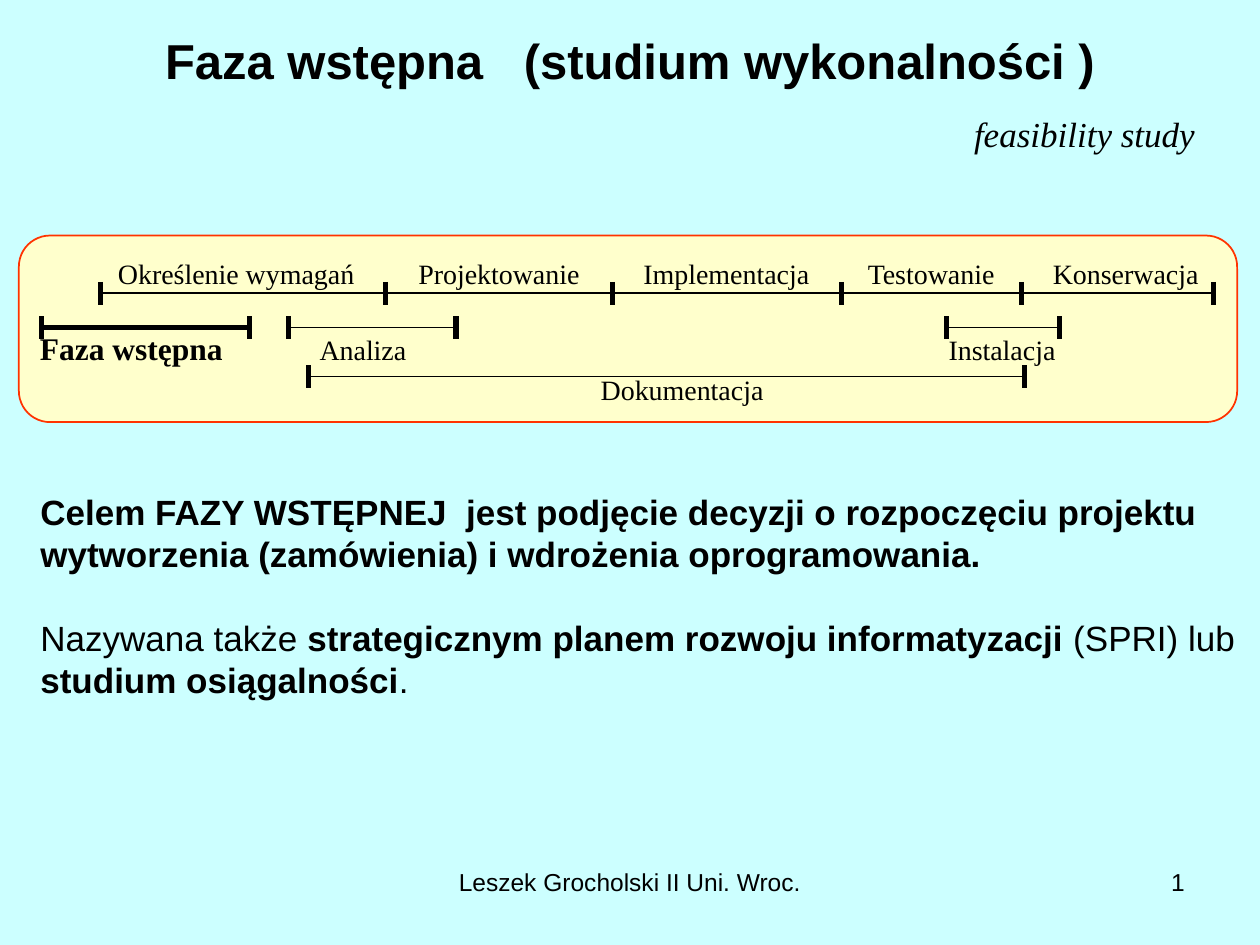
from itertools import chain
from pptx import Presentation
from pptx.dml.color import RGBColor
from pptx.enum.shapes import MSO_CONNECTOR as Conn, MSO_SHAPE as Form
from pptx.enum.text import MSO_ANCHOR as Anchor, MSO_AUTO_SIZE as Auto, PP_ALIGN as Align
from pptx.oxml import parse_xml
from pptx.oxml.ns import nsdecls, qn
from pptx.util import Pt

SANS = {"name": "Arial", "size": Pt(20)}
SERIF = {"name": "Times New Roman", "size": Pt(16)}
FOOT = SANS | {"size": Pt(14)}
BOLD = {"bold": True}
SPANS = [
    (33, 1, [46.8, 209.5, 339, 470.2, 573, 682.6]),
    (52.5, 3, [13, 131.8]),
    (52.5, 1, [154, 249.8]),
    (52.5, 1, [530, 594.7]),
    (80.5, 1, [165.6, 574.6]),
]
LABELS = [
    ("Określenie wymagań", 124.2, 8.6, 152, {}),
    ("Projektowanie", 274.3, 8.6, 110, {}),
    ("Implementacja", 404.3, 8.6, 112, {}),
    ("Testowanie", 521.3, 8.6, 92, {}),
    ("Konserwacja", 632.5, 8.6, 100, {}),
    ("Faza wstępna", 64.3, 49.7, 119, {"size": Pt(18), "bold": True}),
    ("Analiza", 196.6, 51.8, 64, {}),
    ("Instalacja", 561.8, 51.8, 76, {}),
    ("Dokumentacja", 379, 75, 108, {}),
]
GOAL = [
    [("Celem FAZY WSTĘPNEJ  jest podjęcie decyzji o rozpoczęciu projektu "
      "wytworzenia (zamówienia) i wdrożenia oprogramowania.", BOLD)],
    [("Nazywana także ", {}),
     ("strategicznym planem rozwoju informatyzacji", BOLD),
     (" (SPRI) lub ", {}), ("studium osiągalności", BOLD), (".", {})],
]


def tint(code):
    """Turn a hex string into a colour."""
    return RGBColor.from_string(code)


def style(item, form):
    """Set each format value on an item."""
    for key, val in form.items():
        setattr(item, key, val)


def ink(font, form):
    """Format a font in black."""
    style(font, form)
    font.color.rgb = tint("000000")


def write(slide, box, paras, form, align=Align.LEFT, gap=0, wrap=True):
    """Place a text box of paragraphs made of runs."""
    frame = slide.shapes.add_textbox(*map(Pt, box)).text_frame
    frame.word_wrap = wrap
    for num, runs in enumerate(paras):
        para = frame.add_paragraph() if num else frame.paragraphs[0]
        style(para, {"alignment": align, "space_before": Pt(gap if num else 0)})
        for text, extra in runs:
            run = para.add_run()
            run.text = text
            ink(run.font, form | extra)
    return frame


def rule(slide, ends, width):
    """Draw a black line."""
    line = slide.shapes.add_connector(Conn.STRAIGHT, *map(Pt, ends))
    line.line.width = Pt(width)
    line.line.color.rgb = tint("000000")
    line._element.spPr.append(parse_xml(f"<a:effectLst {nsdecls('a')}/>"))


def head(slide, box):
    """Fill the title and the subtitle below it."""
    left, top, wide, high = box
    title = slide.shapes.title
    style(title, dict(zip(("left", "top", "width", "height"), map(Pt, box))))
    frame = title.text_frame
    frame.text = "Faza wstępna   (studium wykonalności )"
    style(frame, {"auto_size": Auto.NONE, "vertical_anchor": Anchor.MIDDLE})
    frame.paragraphs[0].alignment = Align.CENTER
    ink(frame.paragraphs[0].runs[0].font, SANS | {"size": Pt(28), "bold": True})
    note = [[("feasibility study", {"italic": True})]]
    write(slide, (left + wide / 2, top + 60.5, wide / 2 + 6, 32), note,
          SERIF | {"size": Pt(20)}, Align.RIGHT)


def phases(slide, box):
    """Draw the panel with its time spans and labels."""
    left, top = box[:2]
    panel = slide.shapes.add_shape(Form.ROUNDED_RECTANGLE, *map(Pt, box))
    panel.adjustments[0] = 0.167
    panel.shadow.inherit = False
    panel.fill.solid()
    panel.fill.fore_color.rgb = tint("FFFFCC")
    panel.line.color.rgb = tint("FF3300")
    panel.line.width = Pt(1)
    for down, width, marks in SPANS:
        mid = top + down
        bar = ((left + marks[0], mid, left + marks[-1], mid), width)
        ticks = (((left + x, mid - 6.5, left + x, mid + 6.5), 3) for x in marks)
        for ends, thick in chain([bar], ticks):
            rule(slide, ends, thick)
    for text, mid, down, wide, extra in LABELS:
        spot = (left + mid - wide / 2, top + down, wide, 27)
        write(slide, spot, [[(text, extra)]], SERIF, Align.CENTER, wrap=False)


def foot(slide, box):
    """Place the author and the page number."""
    left, top, wide, high = box
    write(slide, (left, top, wide, high),
          [[("Leszek Grocholski II Uni. Wroc.", {})]], FOOT, Align.CENTER)
    page = write(slide, (left + wide - 168, top, 168, high), [[("3", {})]],
                 FOOT, Align.RIGHT)
    run = page.paragraphs[0].runs[0]._r
    run.tag = qn("a:fld")
    run.set("id", "{B6F15528-21DE-4FAA-801E-634DDDAF4B2B}")
    run.set("type", "slidenum")


def main():
    """Build and save the slide."""
    deck = Presentation()
    style(deck, {"slide_width": Pt(720), "slide_height": Pt(540)})
    slide = deck.slides.add_slide(deck.slide_layouts[5])
    slide.background.fill.solid()
    slide.background.fill.fore_color.rgb = tint("CCFFFF")
    head(slide, (36, 0, 648, 69))
    phases(slide, (10.8, 134.6, 696.2, 106.6))
    write(slide, (16, 277, 698, 128), GOAL, SANS, gap=24)
    foot(slide, (36, 492, 648, 37))
    deck.save("out.pptx")


main()
